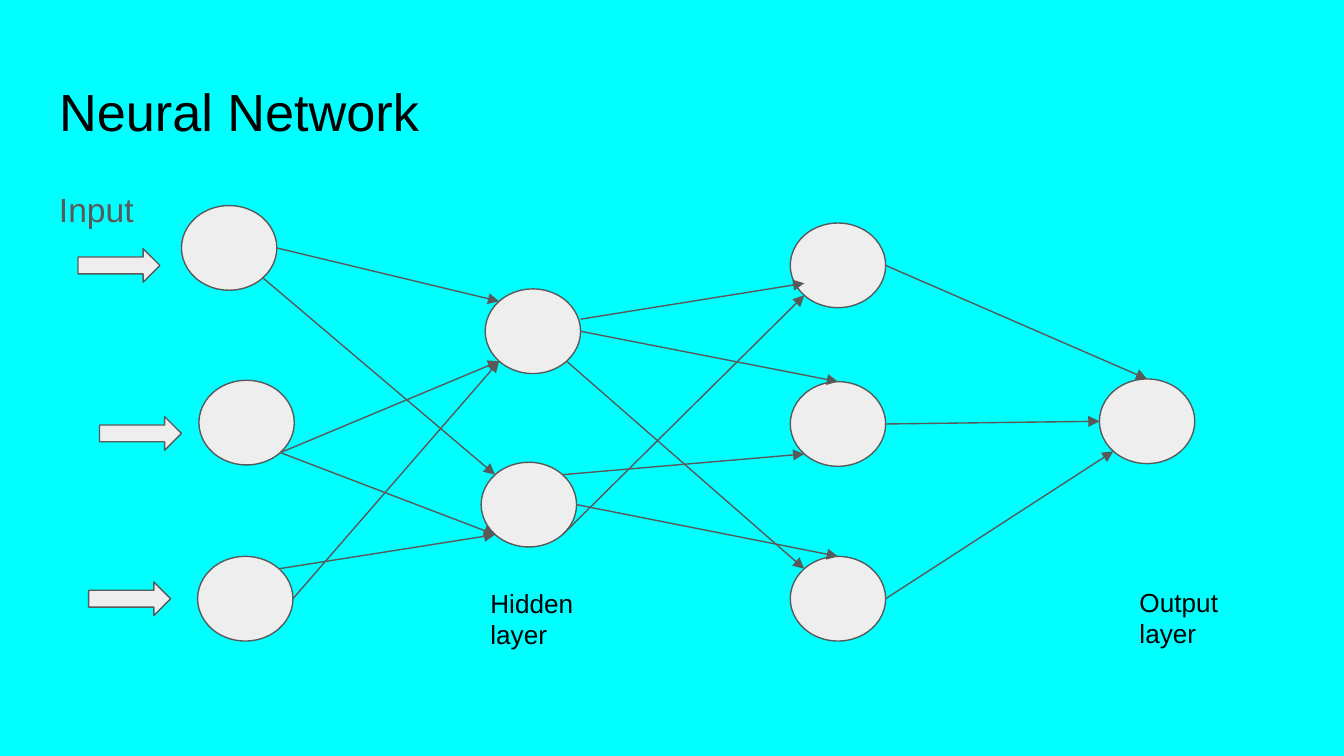
from dataclasses import dataclass

from lxml import etree
from pptx import Presentation
from pptx.dml.color import RGBColor
from pptx.enum import shapes, text
from pptx.oxml import ns
from pptx.util import Inches, Pt

CYAN = RGBColor(0x00, 0xFF, 0xFF)
BLACK = RGBColor(0x00, 0x00, 0x00)
GREY = RGBColor(0x59, 0x59, 0x59)
PALE = RGBColor(0xEE, 0xEE, 0xEE)

SLIDE_W = 10
SLIDE_H = SLIDE_W * 9 / 16
NODE_W, NODE_H = 0.71, 0.63
ARROW_W, ARROW_H = 0.61, 0.25
INSET = 0.1
DIAGONAL = 0.354  # half of cos 45°, as a share of the node size

# Where a link may meet a node, as shares of its size from the centre
SITES = {
    "top": (0, -0.5), "left": (-0.5, 0), "right": (0.5, 0),
    "top left": (-DIAGONAL, -DIAGONAL), "top right": (DIAGONAL, -DIAGONAL),
    "bottom left": (-DIAGONAL, DIAGONAL), "bottom right": (DIAGONAL, DIAGONAL),
}


@dataclass(frozen=True)
class Node:
    x: float
    y: float

    def site(self, name: str) -> tuple[float, float]:
        dx, dy = SITES[name]
        return self.x + (0.5 + dx) * NODE_W, self.y + (0.5 + dy) * NODE_H


@dataclass(frozen=True)
class Link:
    start: Node
    start_site: str
    end: Node
    end_site: str
    shift: float = 0  # vertical offset of the whole link


@dataclass(frozen=True)
class Label:
    text: str
    x: float
    y: float
    w: float
    h: float
    size: float
    color: RGBColor = BLACK
    line_spacing: float = 1.0
    space_after: float = 0


# Network layers, from left to right
IN1, IN2, IN3 = Node(1.35, 1.53), Node(1.48, 2.83), Node(1.47, 4.14)
HID1, HID2 = Node(3.61, 2.15), Node(3.58, 3.44)
DEEP1, DEEP2, DEEP3 = (Node(5.88, y) for y in (1.66, 2.84, 4.14))
OUT = Node(8.18, 2.82)
NODES = [IN1, IN2, IN3, HID2, HID1, DEEP3, DEEP2, DEEP1, OUT]
INPUT_ARROWS = [(0.58, 1.85), (0.66, 4.33), (0.74, 3.1)]

LINKS = [
    Link(IN3, "top right", HID2, "bottom left"),
    Link(IN2, "bottom right", HID1, "bottom left"),
    Link(IN1, "right", HID1, "top left"),
    Link(HID2, "top right", DEEP2, "bottom left"),
    Link(IN1, "bottom right", HID2, "top left"),
    Link(IN2, "bottom right", HID2, "bottom left"),
    Link(IN3, "right", HID1, "bottom left"),
    Link(HID1, "right", DEEP1, "bottom left", shift=-0.09),
    Link(HID1, "right", DEEP2, "top"),
    Link(HID1, "bottom right", DEEP3, "top left"),
    Link(HID2, "right", DEEP3, "top"),
    Link(HID2, "bottom right", DEEP1, "bottom left"),
    Link(DEEP1, "right", OUT, "top"),
    Link(DEEP2, "right", OUT, "left"),
    Link(DEEP3, "right", OUT, "bottom left"),
]

TITLE = Label("Neural Network", 0.34, 0.49, 9.32, 0.63, 28)
INPUT = Label("Input", 0.34, 1.26, 9.32, 3.74, 18, GREY,
              line_spacing=1.15, space_after=16)
LAYER_LABELS = [
    Label("Hidden layer", 3.55, 4.27, 1.18, 0.4, 14),
    Label("Output layer", 8.38, 4.26, 1.18, 0.39, 14),
]


def set_all(target, values: dict) -> None:
    for name, value in values.items():
        setattr(target, name, value)


def write_label(sp, label: Label) -> None:
    set_all(sp, {"left": Inches(label.x), "top": Inches(label.y),
                 "width": Inches(label.w), "height": Inches(label.h)})
    tf = sp.text_frame
    tf.text = label.text
    set_all(tf, {
        "word_wrap": True,
        "auto_size": text.MSO_AUTO_SIZE.NONE,
        "vertical_anchor": text.MSO_ANCHOR.TOP,
    })
    set_all(tf, {f"margin_{side}": Inches(INSET)
                 for side in ("left", "top", "right", "bottom")})
    p = tf.paragraphs[0]
    set_all(p, {"alignment": text.PP_ALIGN.LEFT, "space_before": Pt(0),
                "line_spacing": label.line_spacing,
                "space_after": Pt(label.space_after)})
    r = p.runs[0]
    set_all(r.font, {"name": "Arial", "size": Pt(label.size)})
    r.font.color.rgb = label.color


def add_label(s, label: Label) -> None:
    write_label(s.shapes.add_textbox(0, 0, 0, 0), label)


def outline(line) -> None:
    line.color.rgb = GREY
    line.width = Pt(0.75)


def draw_shape(s, kind, x: float, y: float, w: float, h: float) -> None:
    sp = s.shapes.add_shape(kind, Inches(x), Inches(y), Inches(w), Inches(h))
    sp.shadow.inherit = False
    sp.fill.solid()
    sp.fill.fore_color.rgb = PALE
    outline(sp.line)


def draw_link(s, link: Link) -> None:
    x1, y1 = link.start.site(link.start_site)
    x2, y2 = link.end.site(link.end_site)
    cxn = s.shapes.add_connector(
        shapes.MSO_CONNECTOR.STRAIGHT,
        Inches(x1), Inches(y1 + link.shift), Inches(x2), Inches(y2 + link.shift))
    outline(cxn.line)
    ln = cxn.line._get_or_add_ln()
    etree.SubElement(ln, ns.qn("a:tailEnd"), type="triangle")
    etree.SubElement(cxn._element.spPr, ns.qn("a:effectLst"))


def main() -> None:
    prs = Presentation()
    prs.slide_width, prs.slide_height = Inches(SLIDE_W), Inches(SLIDE_H)
    s = prs.slides.add_slide(prs.slide_layouts[5])
    s.background.fill.solid()
    s.background.fill.fore_color.rgb = CYAN

    # Title and input heading
    write_label(s.shapes.title, TITLE)
    add_label(s, INPUT)

    # Nodes, input arrows and links
    for node in NODES:
        draw_shape(s, shapes.MSO_SHAPE.OVAL, node.x, node.y, NODE_W, NODE_H)
    for x, y in INPUT_ARROWS:
        draw_shape(s, shapes.MSO_SHAPE.RIGHT_ARROW, x, y, ARROW_W, ARROW_H)
    for link in LINKS:
        draw_link(s, link)

    # Layer labels
    for label in LAYER_LABELS:
        add_label(s, label)

    prs.save("out.pptx")


if __name__ == "__main__":
    main()
